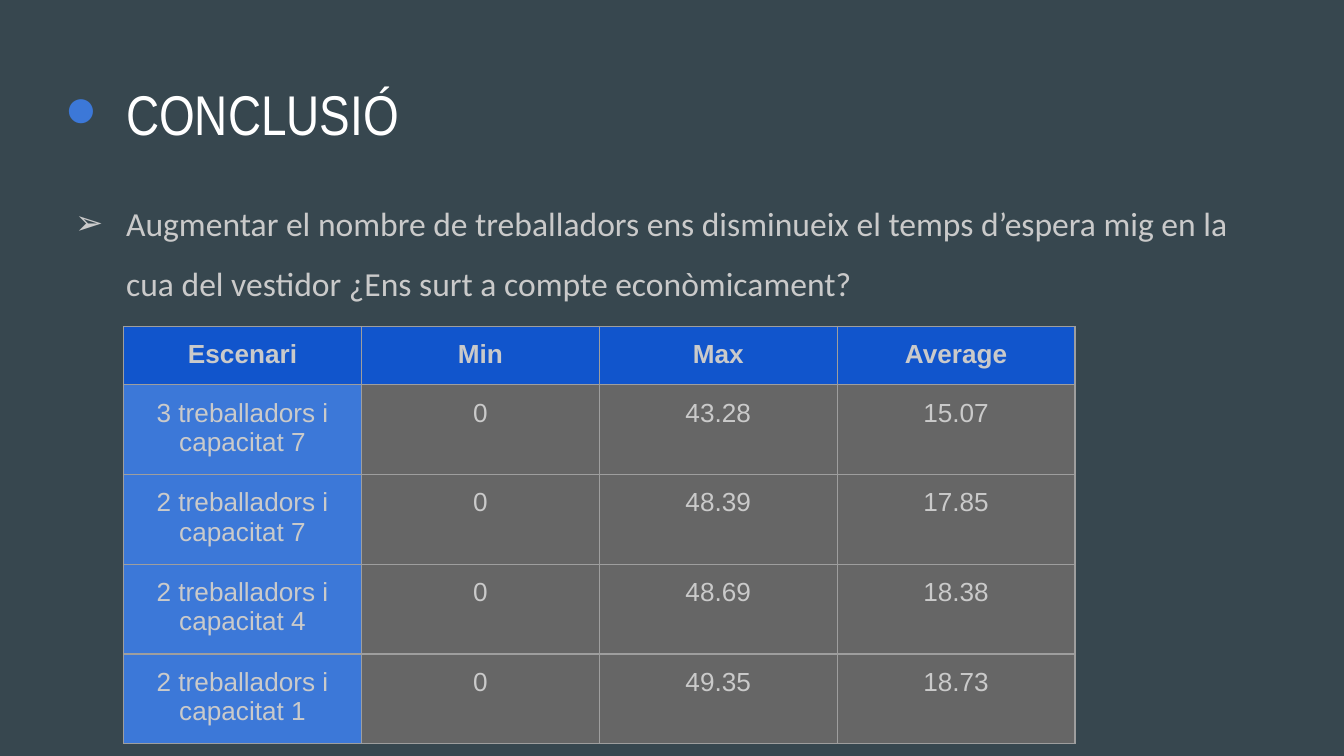
"""Build the conclusion slide with its table of waiting times."""
import pptx
import pptx.dml.color
import pptx.enum.text
import pptx.oxml
import pptx.oxml.ns
import pptx.util
from pptx.util import Inches

HUES = {
    "back": "37474F",
    "title": "FFFFFF",
    "text": "CACACA",
    "head": "1155CC",
    "side": "3C78D8",
    "cell": "666666",
    "line": "9E9E9E",
}
ROWS = [
    ["Escenari", "Min", "Max", "Average"],
    ["3 treballadors i capacitat 7", "0", "43.28", "15.07"],
    ["2 treballadors i capacitat 7", "0", "48.39", "17.85"],
    ["2 treballadors i capacitat 4", "0", "48.69", "18.38"],
    ["2 treballadors i capacitat 1", "0", "49.35", "18.73"],
]
TEXTS = [
    ("CONCLUSIÓ", (0.34, 0.49, 9.32, 0.63), "●", "side", 0.46, 1, 30, "Arial Narrow", "title"),
    ("Augmentar el nombre de treballadors ens disminueix el temps d’espera mig "
     "en la cua del vestidor ¿Ens surt a compte econòmicament?",
     (0.34, 1.26, 9.15, 1.42), "➢", "text", 0.38, 1.5, 18, "Calibri", "text"),
]
PAD = Inches(0.1)


def color(hue):
    return pptx.dml.color.RGBColor.from_string(HUES[hue])


def style(para, size, face, hue, bold=False):
    for run in para.runs:
        run.font.size = pptx.util.Pt(size)
        run.font.name = face
        run.font.bold = bold
        run.font.color.rgb = color(hue)


deck = pptx.Presentation()
deck.slide_width = Inches(10)
deck.slide_height = Inches(10 * 9 / 16)
slide = deck.slides.add_slide(deck.slide_layouts[6])
slide.background.fill.solid()
slide.background.fill.fore_color.rgb = color("back")
names = pptx.oxml.ns.nsdecls("a")

for words, place, mark, tint, hang, space, size, face, hue in TEXTS:
    box = slide.shapes.add_textbox(*map(Inches, place))
    frame = box.text_frame
    frame.word_wrap = True
    frame.margin_left = frame.margin_right = PAD
    frame.margin_top = frame.margin_bottom = PAD
    frame.text = words
    para = frame.paragraphs[0]
    para.line_spacing = space
    props = para._p.get_or_add_pPr()
    props.set("marL", str(Inches(0.5)))
    props.set("indent", str(-Inches(hang)))
    for part in (
        f'<a:buClr {names}><a:srgbClr val="{HUES[tint]}"/></a:buClr>',
        f'<a:buFont {names} typeface="{face}"/>',
        f'<a:buChar {names} char="{mark}"/>',
    ):
        props.append(pptx.oxml.parse_xml(part))
    style(para, size, face, hue)

grid = slide.shapes.add_table(
    len(ROWS), 4, Inches(0.92), Inches(2.43), Inches(7.08), Inches(3.07)).table
for col in grid.columns:
    col.width = Inches(1.77)
for r, row in enumerate(ROWS):
    grid.rows[r].height = Inches(0.66 if r else 0.43)
    for c, words in enumerate(row):
        cell = grid.cell(r, c)
        cell.margin_left = cell.margin_right = PAD
        cell.margin_top = cell.margin_bottom = PAD
        cell.text_frame.text = words
        para = cell.text_frame.paragraphs[0]
        para.alignment = pptx.enum.text.PP_ALIGN.CENTER
        style(para, 14, "Arial", "text", r == 0)
        props = cell._tc.get_or_add_tcPr()
        for side in ("lnL", "lnR", "lnT", "lnB"):
            props.append(pptx.oxml.parse_xml(
                f'<a:{side} {names} w="{pptx.util.Pt(0.75)}"><a:solidFill>'
                f'<a:srgbClr val="{HUES["line"]}"/></a:solidFill></a:{side}>'))
        cell.fill.solid()
        cell.fill.fore_color.rgb = color("head" if r == 0 else "cell" if c else "side")

deck.save("out.pptx")
